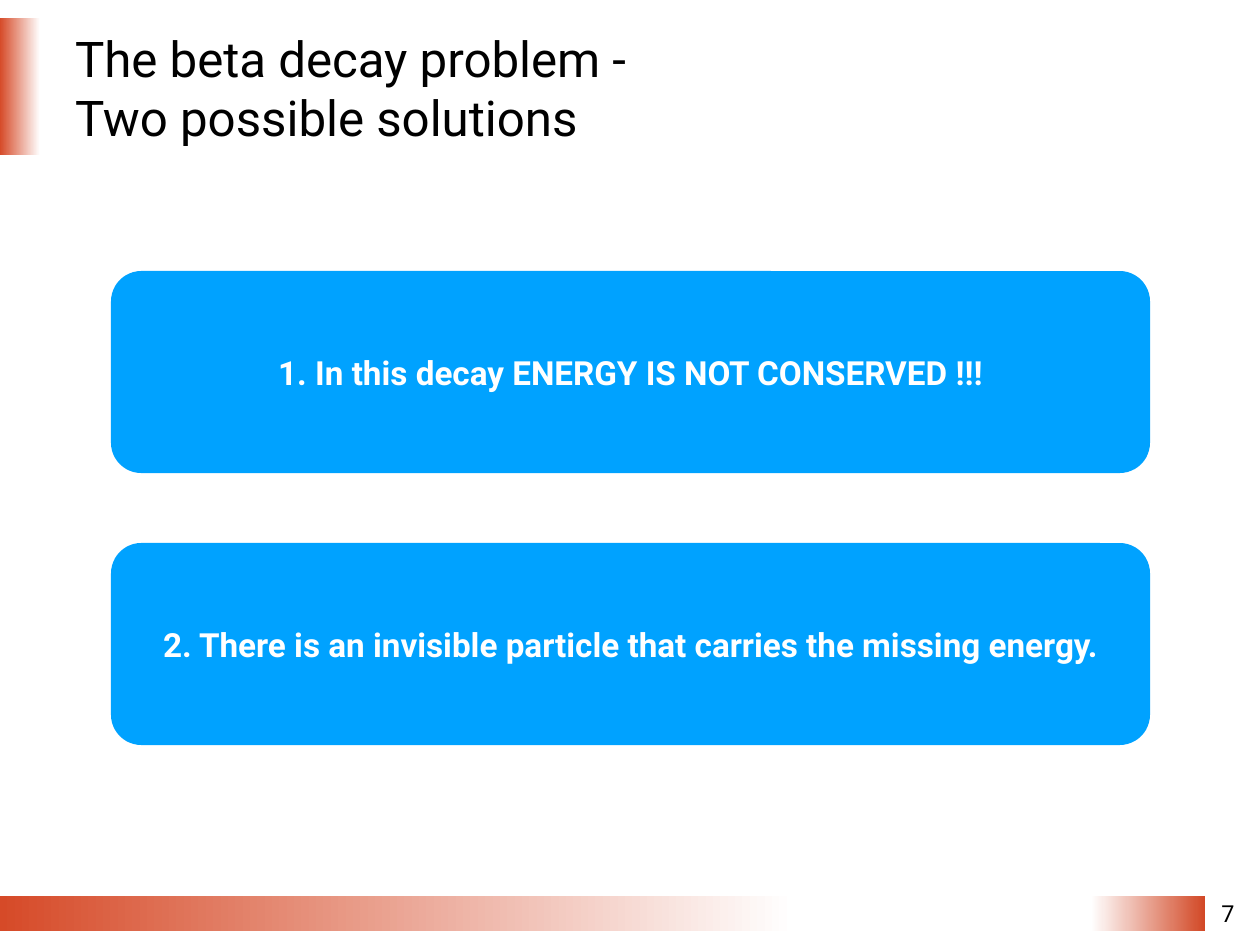
from pptx import Presentation
from pptx.dml.color import RGBColor
from pptx.enum.shapes import MSO_SHAPE
from pptx.enum.text import MSO_ANCHOR, MSO_AUTO_SIZE, PP_ALIGN
from pptx.util import Pt

RECT = MSO_SHAPE.RECTANGLE
ROUNDED = MSO_SHAPE.ROUNDED_RECTANGLE
MIDDLE = MSO_ANCHOR.MIDDLE
NO_FIT = MSO_AUTO_SIZE.NONE
LEFT, CENTER = PP_ALIGN.LEFT, PP_ALIGN.CENTER

RED = RGBColor(0xD6, 0x4A, 0x28)
DARK_RED = RGBColor(0xD2, 0x48, 0x26)
BLUE = RGBColor(0x00, 0xA2, 0xFF)
WHITE = RGBColor(0xFF, 0xFF, 0xFF)
BLACK = RGBColor(0x00, 0x00, 0x00)

FONT = "Roboto"
EMU_PER_PX = 10320
INSET = 5

TITLE = ["The beta decay problem -", "Two possible solutions"]
SOLUTIONS = [
    "1. In this decay ENERGY IS NOT CONSERVED !!!",
    "2. There is an invisible particle that carries the missing energy.",
]
SOLUTION_TOP, SOLUTION_PITCH = 271, 272


def px(n):
    return n * EMU_PER_PX


def write(sp, lines, size, color, align=CENTER, bold=False, wrap=True):
    tf = sp.text_frame
    tf.auto_size = NO_FIT
    tf.word_wrap = wrap
    tf.vertical_anchor = MIDDLE
    tf.margin_left = tf.margin_right = px(INSET)
    tf.margin_top = tf.margin_bottom = px(INSET)
    tf.text = "\n".join(lines)
    for p in tf.paragraphs:
        p.alignment = align
        p.font.name = FONT
        p.font.size = Pt(size)
        p.font.bold = bold
        p.font.color.rgb = color


def add_block(slide, kind, x, y, w, h):
    sp = slide.shapes.add_shape(kind, px(x), px(y), px(w), px(h))
    sp.shadow.inherit = False
    sp.line.fill.background()
    return sp


def add_fading_bar(slide, x, y, w, h, color, angle=0):
    sp = add_block(slide, RECT, x, y, w, h)
    sp.fill.gradient()
    sp.fill.gradient_angle = angle
    for stop, rgb in zip(sp.fill.gradient_stops, (color, WHITE)):
        stop.color.rgb = rgb


def add_title(slide, lines):
    sp = slide.shapes.title
    sp.left, sp.top, sp.width, sp.height = px(70), px(19), px(1048), px(136)
    write(sp, lines, 40, BLACK, align=LEFT)


def add_solution(slide, y, text):
    sp = add_block(slide, ROUNDED, 111, y, 1039, 202)
    sp.adjustments[0] = 0.15
    sp.fill.solid()
    sp.fill.fore_color.rgb = BLUE
    write(sp, [text], 27, WHITE, bold=True)


def add_page_number(slide, number):
    sp = slide.shapes.add_textbox(px(1216), px(895), px(24), px(37))
    write(sp, [number], 19, BLACK, wrap=False)


def main():
    prs = Presentation()
    prs.slide_width, prs.slide_height = px(1260), px(945)
    slide = prs.slides.add_slide(prs.slide_layouts[5])
    add_fading_bar(slide, 0, 896, 794, 35, RED)
    add_fading_bar(slide, 1091, 896, 114, 35, DARK_RED, angle=180)
    add_fading_bar(slide, 0, 18, 40, 137, RED)
    add_title(slide, TITLE)
    for i, text in enumerate(SOLUTIONS):
        add_solution(slide, SOLUTION_TOP + i * SOLUTION_PITCH, text)
    add_page_number(slide, "7")
    prs.save("out.pptx")


if __name__ == "__main__":
    main()
